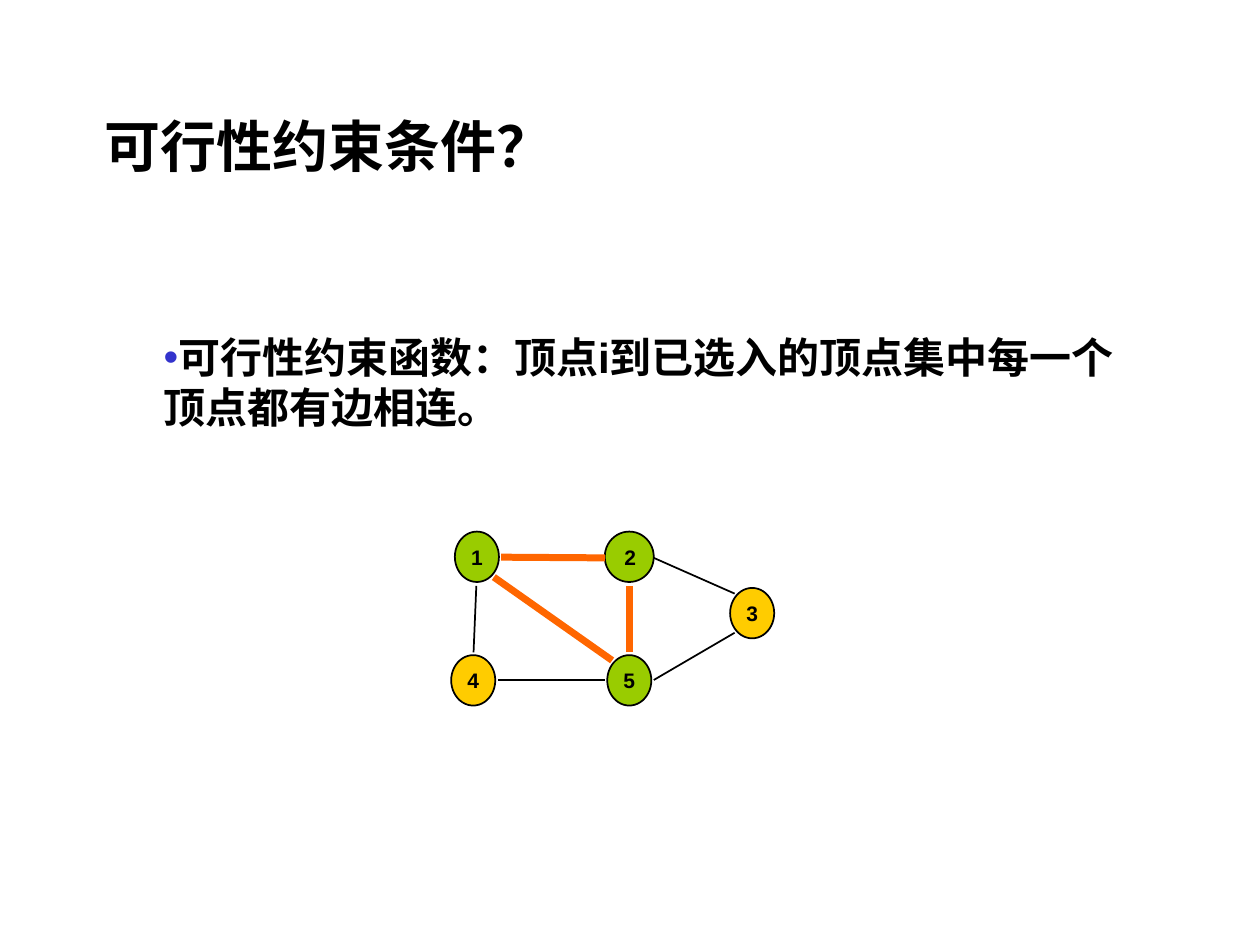
from typing import NamedTuple

from lxml.etree import SubElement
from pptx import Presentation
from pptx.dml.color import RGBColor
from pptx.enum.shapes import MSO_CONNECTOR, MSO_SHAPE
from pptx.enum.text import MSO_ANCHOR, PP_ALIGN
from pptx.oxml.ns import qn
from pptx.util import Pt

BLACK, GREEN, GOLD, ORANGE, BLUE = "000000", "99CC00", "FFCC00", "FF6600", "3333CC"


class Node(NamedTuple):
    label: str
    left: float
    top: float
    fill: str
    width: float = 25.2
    wrap: bool = False


class Edge(NamedTuple):
    x1: float
    y1: float
    x2: float
    y2: float
    color: str = BLACK
    weight: float = 1


ROW1, ROW2 = 303.8, 374.4
NODES = [
    Node("1", 259.9, ROW1, GREEN),
    Node("2", 345.6, ROW1, GREEN, 28, True),
    Node("4", 257.8, ROW2, GOLD),
    Node("5", 347, ROW2, GREEN),
    Node("3", 417.2, 336, GOLD),
]
EDGES = [
    Edge(286.4, 318.4, 345.6, 318.8, ORANGE, 4),
    Edge(272.2, 334.8, 270.6, 372.8),
    Edge(284.6, 388.6, 345.6, 388.6),
    Edge(359.8, 372.8, 359.8, 334.8, ORANGE, 4),
    Edge(282.2, 329.8, 349.8, 377.4, ORANGE, 4),
    Edge(419.8, 339.2, 373.6, 318.8),
    Edge(373.6, 388.6, 419.8, 361.6),
]


def rgb(code: str) -> RGBColor:
    return RGBColor.from_string(code)


def write(frame, text: str, size: float, bullet: str = "") -> None:
    """Put one bold paragraph in the frame, with a bullet if one is given."""
    para = frame.paragraphs[0]
    para.text = text
    if bullet:
        props = para._p.get_or_add_pPr()
        color = SubElement(props, qn("a:buClr"))
        SubElement(color, qn("a:srgbClr"), val=BLUE)
        SubElement(props, qn("a:buFont"), typeface="Arial")
        SubElement(props, qn("a:buChar"), char=bullet)
    font = para.font
    font.name, font.size, font.bold = "Arial", Pt(size), True
    font.color.rgb = rgb(BLACK)


def add_text(slide, left: float, top: float, width: float, height: float,
             text: str, size: float, anchor: MSO_ANCHOR, bullet: str = "") -> None:
    box = slide.shapes.add_textbox(Pt(left), Pt(top), Pt(width), Pt(height))
    frame = box.text_frame
    frame.word_wrap = True
    frame.vertical_anchor = anchor
    write(frame, text, size, bullet)


def add_node(slide, node: Node) -> None:
    oval = slide.shapes.add_shape(
        MSO_SHAPE.OVAL, Pt(node.left), Pt(node.top), Pt(node.width), Pt(28.8))
    oval.shadow.inherit = False
    oval.fill.solid()
    oval.fill.fore_color.rgb = rgb(node.fill)
    oval.line.color.rgb = rgb(BLACK)
    oval.line.width = Pt(1)
    frame = oval.text_frame
    frame.word_wrap = node.wrap
    frame.vertical_anchor = MSO_ANCHOR.MIDDLE
    write(frame, node.label, 12)
    frame.paragraphs[0].alignment = PP_ALIGN.CENTER


def add_edge(slide, edge: Edge) -> None:
    line = slide.shapes.add_connector(
        MSO_CONNECTOR.STRAIGHT, Pt(edge.x1), Pt(edge.y1), Pt(edge.x2), Pt(edge.y2))
    line.line.color.rgb = rgb(edge.color)
    line.line.width = Pt(edge.weight)
    SubElement(line._element.spPr, qn("a:effectLst"))


def main() -> None:
    deck = Presentation()
    deck.slide_width, deck.slide_height = Pt(720), Pt(540)
    slide = deck.slides.add_slide(deck.slide_layouts[6])
    add_text(slide, 86.4, 185.8, 561.6, 64.8,
             "可行性约束函数：顶点i到已选入的顶点集中每一个顶点都有边相连。",
             24, MSO_ANCHOR.TOP, "•")
    for node in NODES:
        add_node(slide, node)
    for edge in EDGES:
        add_edge(slide, edge)
    add_text(slide, 52.6, 60.5, 648, 44.6, "可行性约束条件？", 32, MSO_ANCHOR.MIDDLE)
    deck.save("out.pptx")


if __name__ == "__main__":
    main()
